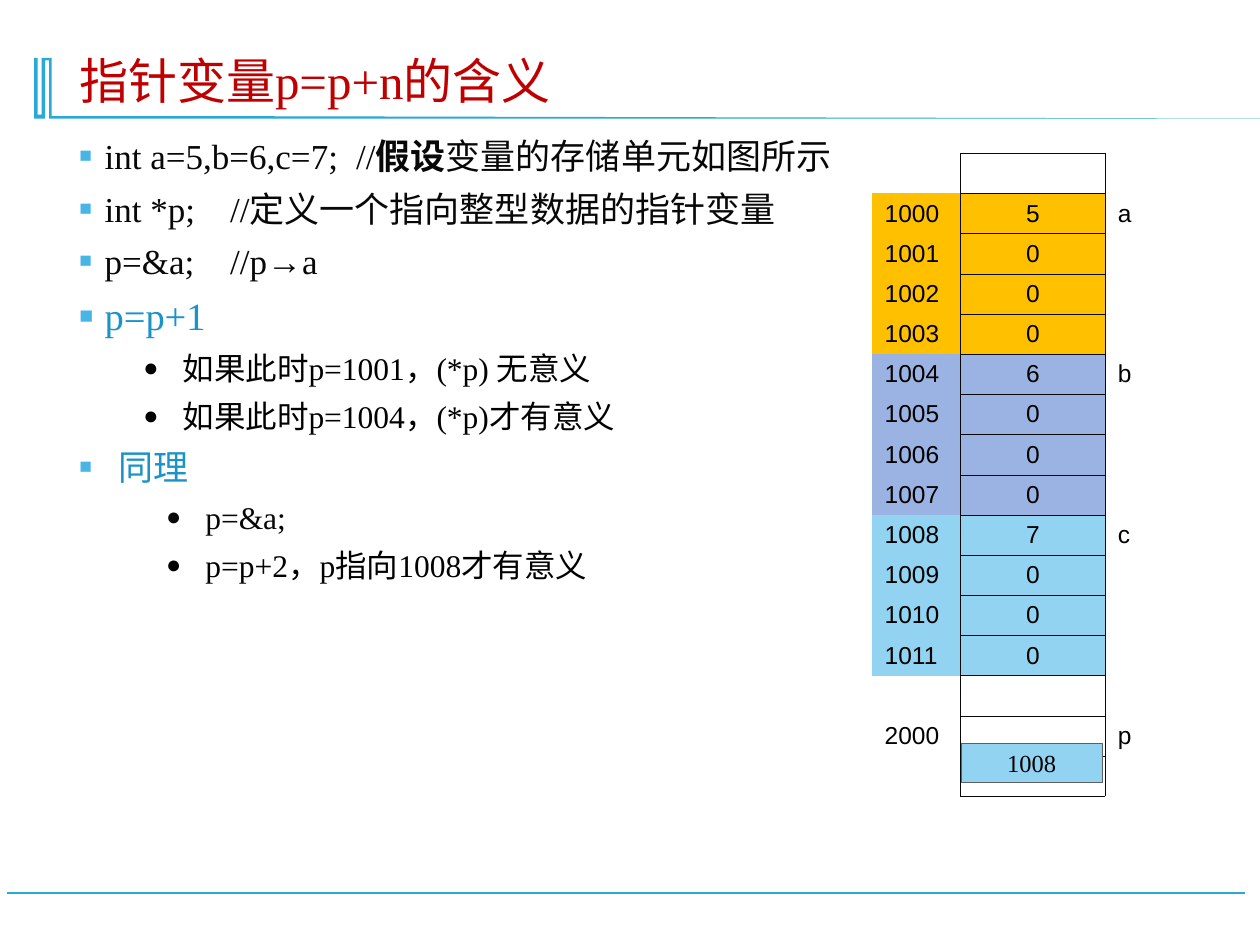
from lxml.etree import SubElement as Sub
from pptx import Presentation
from pptx.dml.color import RGBColor as Rgb
from pptx.enum.shapes import MSO_CONNECTOR as Conn, MSO_SHAPE as Kind
from pptx.enum.text import MSO_ANCHOR as Anchor, PP_ALIGN as Align
from pptx.oxml.ns import qn
from pptx.util import Cm, Pt

HUES = {"rule": "28A9D6", "title": "C00000", "ink": "080808", "black": "000000",
        "head": "1A93C8", "mark": "47B6E7", "edge": "5F5F5F",
        "a": "FFC000", "b": "9BB3E2", "c": "91D3F1"}
SERIF, SANS = "Times New Roman", "Arial"
PLAIN = "{2D5ABB26-0587-4C30-8999-92F81FD0307C}"
FRAME = [(104, 117), (104, 234), (356, 234), (2563, 239), (99, 239), (99, 122),
         (91, 122), (91, 239), (69, 239), (69, 117), (76, 117), (76, 231),
         (84, 231), (84, 117)]
SQUARE, DOT = ("■", 60, "mark"), ("●", 80, None)
NOTES = [
    (["int a=5,b=6,c=7;\t//", "假设", "变量的存储单元如图所示"], SQUARE, 0.51, -0.97, 20, "ink", 5.58),
    (["int *p;\t//定义一个指向整型数据的指针变量"], SQUARE, 0.51, -0.97, 20, "ink", 3.04),
    (["p=&a;\t//p→a"], SQUARE, 0.51, -0.97, 20, "ink", 3.04),
    (["p=p+1"], SQUARE, 0.51, -0.97, 22, "head", None),
    (["如果此时p=1001，(*p) 无意义"], DOT, 2.08, -0.79, 18, "black", None),
    (["如果此时p=1004，(*p)才有意义"], DOT, 2.08, -0.79, 18, "black", None),
    (["同理"], SQUARE, 0.79, -0.79, 20, "head", None),
    (["p=&a;"], DOT, 2.54, -0.79, 18, "ink", None),
    (["p=p+2，p指向1008才有意义"], DOT, 2.54, -0.79, 18, "black", None),
]


def hue(name):
    """Return a named colour."""
    return Rgb.from_string(HUES[name])


def style(para, size, color, face=SERIF):
    """Set the font of a whole paragraph."""
    font = para.font
    font.size, font.name, font.color.rgb = Pt(size), face, hue(color)


def add_box(slide, left, top, width, height):
    """Add a wrapping text frame."""
    frame = slide.shapes.add_textbox(Cm(left), Cm(top), Cm(width), Cm(height)).text_frame
    frame.word_wrap = True
    return frame


def add_rules(slide):
    """Draw the title frame and the bottom line."""
    pen = slide.shapes.build_freeform(*FRAME[0], scale=Cm(0.01))
    pen.add_line_segments(FRAME[1:], close=True)
    shape = pen.convert_to_shape()
    shape.shadow.inherit = False
    shape.fill.solid()
    shape.fill.fore_color.rgb = hue("rule")
    shape.line.fill.background()
    line = slide.shapes.add_connector(Conn.STRAIGHT, Cm(25.1), Cm(18), Cm(0.15), Cm(18))
    line.line.color.rgb, line.line.width = hue("rule"), Pt(1.25)
    Sub(line._element.spPr, qn("a:effectLst"))


def add_title(slide, text):
    """Write the slide title."""
    frame = add_box(slide, 1.35, 0.71, 22.48, 1.63)
    frame.vertical_anchor = Anchor.BOTTOM
    para = frame.paragraphs[0]
    para.text, para.line_spacing = text, 0.9
    style(para, 28, "title")


def set_mark(para, mark, left, hang, tab):
    """Give a paragraph its bullet, indent and tab stop."""
    sign, size, color = mark
    props = para._p.get_or_add_pPr()
    props.set("marL", str(Cm(left)))
    props.set("indent", str(Cm(hang)))
    if color:
        Sub(Sub(props, qn("a:buClr")), qn("a:srgbClr"), val=HUES[color])
    Sub(props, qn("a:buSzPct"), val=str(size * 1000))
    Sub(props, qn("a:buFont"), typeface=SANS)
    Sub(props, qn("a:buChar"), char=sign)
    if tab:
        Sub(Sub(props, qn("a:tabLst")), qn("a:tab"), pos=str(Cm(tab)), algn="l")


def add_notes(slide):
    """Write the bulleted notes."""
    frame = add_box(slide, 1.35, 2.59, 15.93, 14.15)
    for row, (parts, mark, left, hang, size, color, tab) in enumerate(NOTES):
        para = frame.add_paragraph() if row else frame.paragraphs[0]
        if row:
            para.space_before = Pt(6)
        set_mark(para, mark, left, hang, tab)
        style(para, size, color)
        for spot, part in enumerate(parts):
            run = para.add_run()
            run.text = part
            if spot == 1:
                run.font.bold = True


def set_cell(cell, text, fill, boxed):
    """Fill, border and write one memory cell."""
    cell.margin_top = cell.margin_bottom = 0
    cell.vertical_anchor = Anchor.MIDDLE
    if boxed:
        for side in "LRTB":
            edge = Sub(cell._tc.get_or_add_tcPr(), qn("a:ln" + side), w=str(Pt(0.25)))
            Sub(Sub(edge, qn("a:solidFill")), qn("a:srgbClr"), val=HUES["ink"])
    if fill:
        cell.fill.solid()
        cell.fill.fore_color.rgb = hue(fill)
    else:
        cell.fill.background()
    para = cell.text_frame.paragraphs[0]
    para.text = text
    if boxed:
        para.alignment = Align.CENTER
    style(para, 14, "black", SANS)


def add_memory(slide):
    """Build the memory table from the three variables."""
    rows = [("", "", "", None)]
    for slot, (name, value) in enumerate([("a", 5), ("b", 6), ("c", 7)]):
        for byte in range(4):
            rows.append((str(1000 + 4 * slot + byte), "0" if byte else str(value),
                         "" if byte else name, name))
    rows += [("", "", "", None), ("2000", "", "p", None), ("", "", "", None)]
    table = slide.shapes.add_table(len(rows), 3, Cm(17.58), Cm(3.09), Cm(5.72),
                                   Cm(0.81 * len(rows))).table
    table.first_row = table.horz_banding = False
    table._tbl.tblPr[0].text = PLAIN
    for col, width in zip(table.columns, (1.78, 2.92, 1.02)):
        col.width = Cm(width)
    for row, (spot, value, name, fill) in enumerate(rows):
        set_cell(table.cell(row, 0), spot, fill, False)
        set_cell(table.cell(row, 1), value, fill, True)
        set_cell(table.cell(row, 2), name, None, False)


def add_value(slide, text):
    """Draw the value held by the pointer."""
    box = slide.shapes.add_shape(Kind.RECTANGLE, Cm(19.38), Cm(14.99), Cm(2.84), Cm(0.79))
    box.shadow.inherit = False
    box.fill.solid()
    box.fill.fore_color.rgb = hue("c")
    box.line.color.rgb, box.line.width = hue("edge"), Pt(0.75)
    para = box.text_frame.paragraphs[0]
    para.text, para.alignment = text, Align.CENTER
    style(para, 14, "black")


def main():
    """Build and save the slide."""
    deck = Presentation()
    deck.slide_width, deck.slide_height = Cm(25.4), Cm(19.05)
    slide = deck.slides.add_slide(deck.slide_layouts[6])
    add_rules(slide)
    add_title(slide, "指针变量p=p+n的含义")
    add_notes(slide)
    add_memory(slide)
    add_value(slide, "1008")
    deck.save("out.pptx")


if __name__ == "__main__":
    main()
